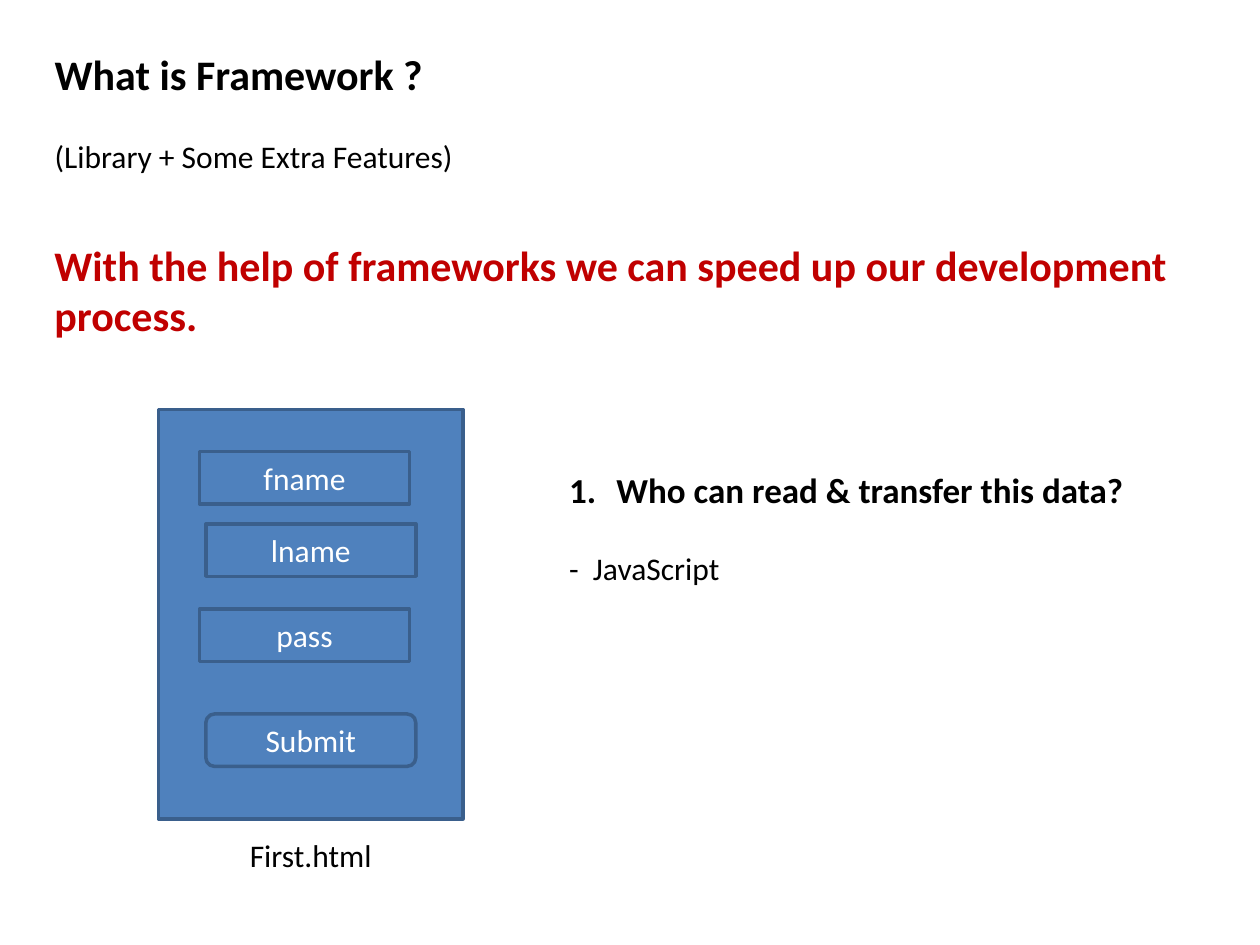
"""Build the slide that explains what a framework is."""
from dataclasses import dataclass

from lxml.etree import SubElement
from pptx import Presentation
from pptx.dml.color import RGBColor
from pptx.enum.shapes import MSO_SHAPE
from pptx.enum.text import MSO_ANCHOR, MSO_AUTO_SIZE, PP_ALIGN
from pptx.oxml.ns import qn
from pptx.util import Inches, Pt

CELL = 10 / 24
BLUE, EDGE = "4F81BD", "3A5F8C"
BLACK, WHITE, RED = "000000", "FFFFFF", "C00000"


@dataclass
class Box:
    """A place on the grid of 24 columns and 18 rows."""
    col: float
    row: float
    wide: float
    high: float

    def area(self) -> list:
        """Return left, top, width and height as lengths."""
        return [Inches(n * CELL) for n in (self.col, self.row, self.wide, self.high)]


@dataclass
class Line:
    """A paragraph with its look."""
    text: str
    size: int = 18
    bold: bool = False
    color: str = BLACK
    align: PP_ALIGN = PP_ALIGN.LEFT
    before: float = 0
    number: bool = False


@dataclass
class Field:
    """A part of the drawn form."""
    box: Box
    text: str = ""
    kind: MSO_SHAPE = MSO_SHAPE.RECTANGLE


def paint(code: str) -> RGBColor:
    """Turn a hex string into a colour."""
    return RGBColor.from_string(code)


def write(shape, lines: list[Line], anchor=MSO_ANCHOR.TOP) -> None:
    """Fill a shape with formatted paragraphs."""
    frame = shape.text_frame
    frame.word_wrap = True
    frame.auto_size = MSO_AUTO_SIZE.NONE
    frame.vertical_anchor = anchor
    frame.text = "\n".join(line.text for line in lines)
    for para, line in zip(frame.paragraphs, lines):
        para.alignment = line.align
        para.space_before = Pt(line.before)
        font = para.runs[0].font
        font.name, font.size, font.bold = "Calibri", Pt(line.size), line.bold
        font.color.rgb = paint(line.color)
        mark(para, line.number)


def mark(para, number: bool) -> None:
    """Number a paragraph, or clear its bullet and indent."""
    props = para._p.get_or_add_pPr()
    hang = Inches(0.375) if number else 0
    props.set("marL", str(hang))
    props.set("indent", str(-hang))
    if number:
        SubElement(props, qn("a:buFont"), typeface="+mj-lt")
        SubElement(props, qn("a:buAutoNum"), type="arabicPeriod")
    else:
        SubElement(props, qn("a:buNone"))


def place(shape, box: Box) -> None:
    """Move a placeholder to a box."""
    shape.left, shape.top, shape.width, shape.height = box.area()


def label(slide, box: Box, line: Line) -> None:
    """Add a text box with one paragraph."""
    write(slide.shapes.add_textbox(*box.area()), [line])


def draw(slide, field: Field) -> None:
    """Add a form part."""
    shape = slide.shapes.add_shape(field.kind, *field.box.area())
    shape.shadow.inherit = False
    shape.fill.solid()
    shape.fill.fore_color.rgb = paint(BLUE)
    shape.line.color.rgb = paint(EDGE)
    shape.line.width = Pt(2)
    if field.text:
        line = Line(field.text, color=WHITE, align=PP_ALIGN.CENTER)
        write(shape, [line], MSO_ANCHOR.MIDDLE)


def main() -> None:
    """Build and save the slide."""
    deck = Presentation()
    deck.slide_width, deck.slide_height = Inches(10), Inches(7.5)
    slide = deck.slides.add_slide(deck.slide_layouts[1])
    title, body = slide.placeholders

    place(title, Box(0.8, 0.8, 20.4, 2.66))
    write(title, [Line("What is Framework ?", 24, True),
                  Line("(Library + Some Extra Features)", before=22)])
    label(slide, Box(0.8, 4.44, 21.8, 2.18),
          Line("With the help of frameworks we can speed up our development process.",
               24, True, RED))

    panel = Box(3.02, 7.8, 5.8, 7.8)
    draw(slide, Field(panel))
    label(slide, Box(panel.col, 15.8, panel.wide, 0.96),
          Line("First.html", align=PP_ALIGN.CENTER))
    near, far = 3.8, 3.92
    for field in (
        Field(Box(near, 8.6, 4, 1), "fname"),
        Field(Box(far, 9.98, 4, 1), "lname"),
        Field(Box(near, 11.6, 4, 1), "pass"),
        Field(Box(far, 13.6, 4, 1), "Submit", MSO_SHAPE.ROUNDED_RECTANGLE),
    ):
        draw(slide, field)

    place(body, Box(10.6, 8.8, 12, 2.5))
    write(body, [Line("Who can read & transfer this data?", 20, True, number=True),
                 Line("-  JavaScript", before=22)])
    deck.save("out.pptx")


if __name__ == "__main__":
    main()
